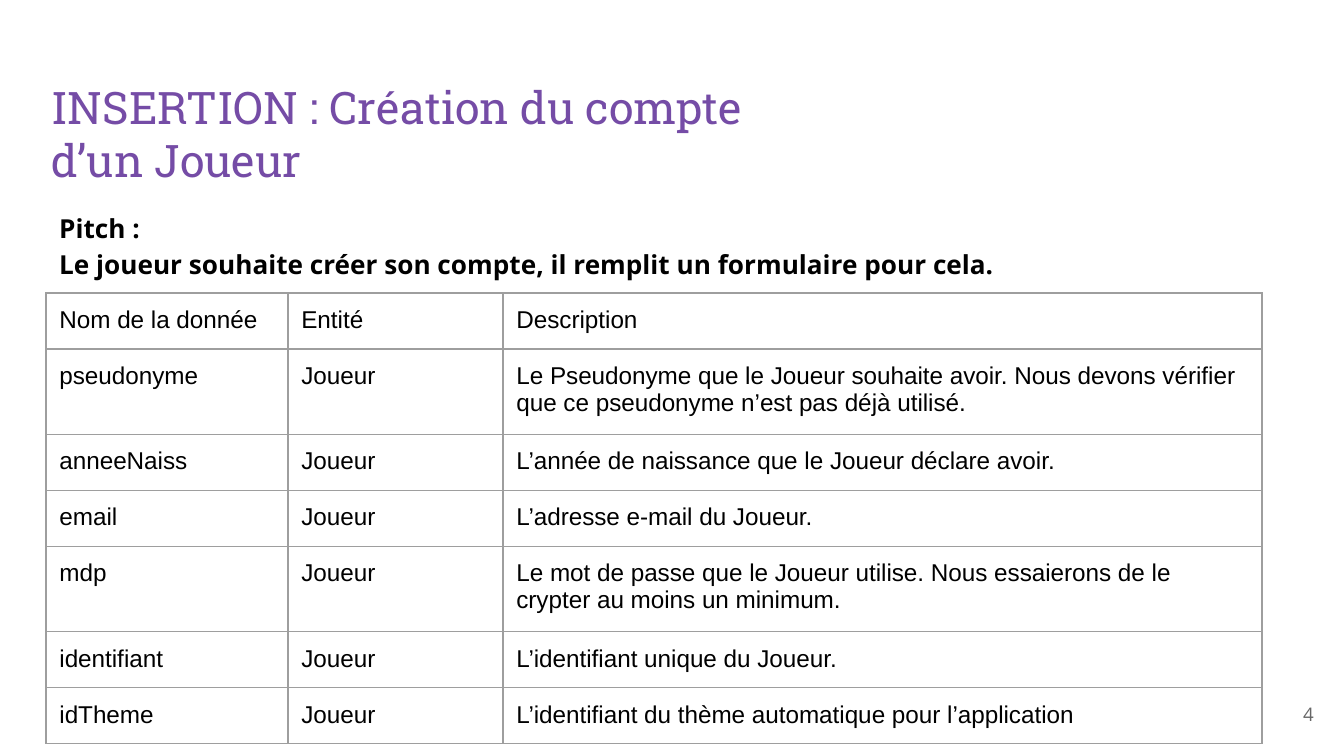
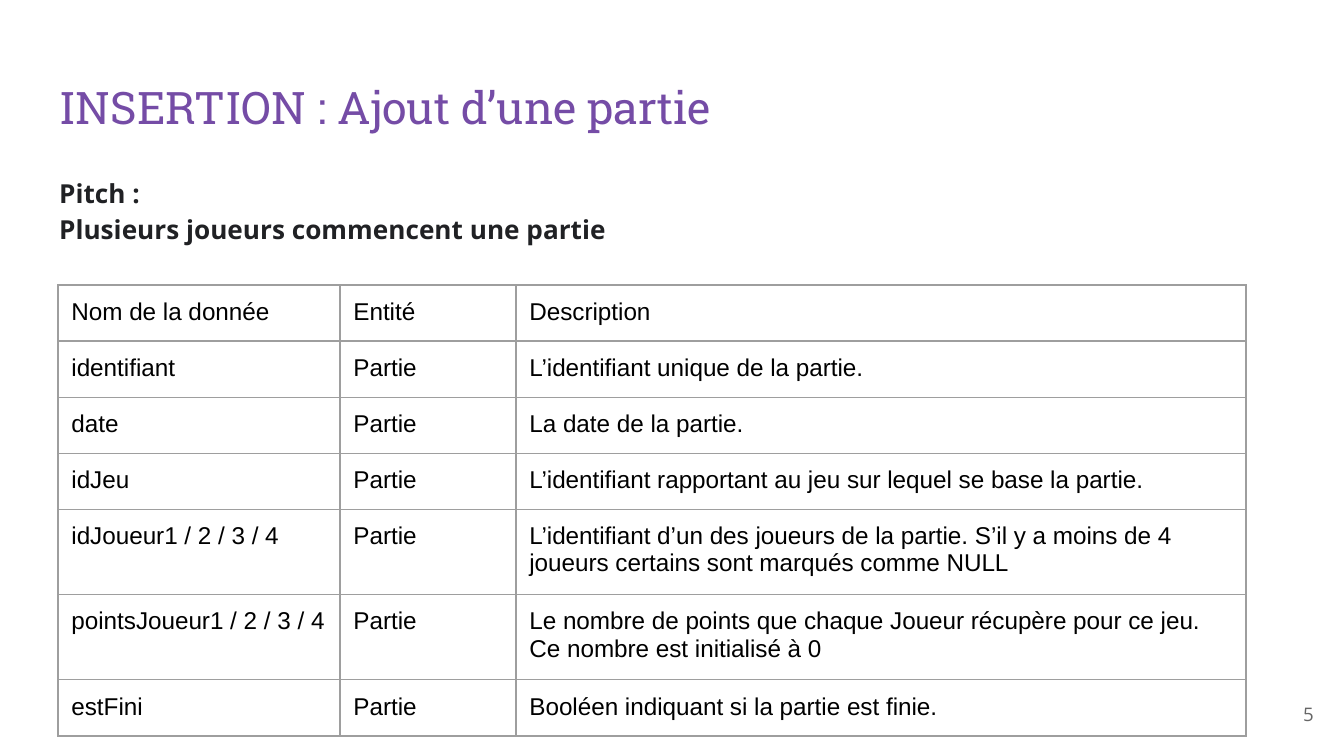
"""Two slides that describe the data inserted for a player account and a game."""
import lxml.etree
import pptx
import pptx.dml.color
import pptx.enum.text
import pptx.oxml.ns
import pptx.util

PIXEL = 914400 / 134.4
SLIDE_SIZE = (1344, 756)
INSET = 13.44
COLORS = {
    "background": "FFFFFF",
    "title": "754CA6",
    "black": "000000",
    "charcoal": "202124",
    "number": "666666",
    "border": "9E9E9E",
}
FONTS = {"title": "Roboto Slab", "body": "Open Sans", "table": "Arial"}
NUMBER_BOX = (1246, 685, 81, 58)
HEADINGS = ("Nom de la donnée", "Entité", "Description")
BORDER_POINTS = 0.75


def to_emu(pixels):
    """Turn pixels into EMU."""
    return pptx.util.Emu(round(pixels * PIXEL))


def rgb(name):
    """Look up a named colour."""
    return pptx.dml.color.RGBColor.from_string(COLORS[name])


def write_text(frame, text, *, font, size, color, bold=False, align=None, spacing=None):
    """Write each line of the text as one formatted paragraph."""
    frame.text = text
    frame.word_wrap = True
    for paragraph in frame.paragraphs:
        if align is not None:
            paragraph.alignment = align
        if spacing is not None:
            paragraph.line_spacing = spacing
        for run in paragraph.runs:
            run.font.name = FONTS[font]
            run.font.size = pptx.util.Pt(size)
            run.font.bold = bold
            run.font.color.rgb = rgb(color)


def set_margins(target):
    """Give a text frame or a table cell the common inset on all sides."""
    for side in ("left", "top", "right", "bottom"):
        setattr(target, "margin_" + side, to_emu(INSET))


def add_text(slide, box, text, *, anchor=pptx.enum.text.MSO_ANCHOR.TOP, **text_format):
    """Add a text box that fills the given box."""
    frame = slide.shapes.add_textbox(*map(to_emu, box)).text_frame
    set_margins(frame)
    frame.vertical_anchor = anchor
    write_text(frame, text, **text_format)


def add_borders(cell):
    """Draw a thin line on the four sides of a cell."""
    properties = cell._tc.get_or_add_tcPr()
    for tag in ("a:lnL", "a:lnR", "a:lnT", "a:lnB"):
        line = lxml.etree.SubElement(properties, pptx.oxml.ns.qn(tag))
        line.set("w", str(pptx.util.Pt(BORDER_POINTS)))
        fill = lxml.etree.SubElement(line, pptx.oxml.ns.qn("a:solidFill"))
        color = lxml.etree.SubElement(fill, pptx.oxml.ns.qn("a:srgbClr"))
        color.set("val", COLORS["border"])


def add_data_table(slide, left, top, widths, heights, entity, descriptions):
    """Add the table that lists each data item of one entity."""
    rows = [HEADINGS] + [(name, entity, description) for name, description in descriptions]
    box = (left, top, sum(widths), sum(heights))
    table = slide.shapes.add_table(len(rows), len(widths), *map(to_emu, box)).table
    table.first_row = False
    table.horz_banding = False
    for column, width in zip(table.columns, widths):
        column.width = to_emu(width)
    for row, height, texts in zip(table.rows, heights, rows):
        row.height = to_emu(height)
        for cell, text in zip(row.cells, texts):
            set_margins(cell)
            add_borders(cell)
            cell.fill.background()
            write_text(cell.text_frame, text, font="table", size=13, color="black")


def add_insertion_slide(presentation, number, title, title_box, pitch, pitch_box, pitch_color, table):
    """Add a slide with a title, a pitch, a data table and its number."""
    slide = presentation.slides.add_slide(presentation.slide_layouts[6])
    slide.background.fill.solid()
    slide.background.fill.fore_color.rgb = rgb("background")
    add_text(slide, title_box, "INSERTION : " + title, font="title", size=24, color="title")
    add_text(slide, pitch_box, "Pitch :\n" + pitch, font="body", size=14,
             color=pitch_color, bold=True, spacing=1.15)
    add_text(slide, NUMBER_BOX, str(number), font="body", size=10, color="number",
             align=pptx.enum.text.PP_ALIGN.RIGHT, anchor=pptx.enum.text.MSO_ANCHOR.MIDDLE)
    add_data_table(slide, **table)


def main():
    """Build and save the presentation."""
    presentation = pptx.Presentation()
    presentation.slide_width, presentation.slide_height = map(to_emu, SLIDE_SIZE)
    add_insertion_slide(
        presentation, 4,
        title="Création du compte\nd’un Joueur",
        title_box=(38, 66, 1269, 85),
        pitch="Le joueur souhaite créer son compte, il remplit un formulaire pour cela.",
        pitch_box=(46, 194, 1253, 85),
        pitch_color="black",
        table={
            "left": 46, "top": 293,
            "widths": (242, 215, 759),
            "heights": (54, 81, 54, 54, 81, 54, 54),
            "entity": "Joueur",
            "descriptions": (
                ("pseudonyme", "Le Pseudonyme que le Joueur souhaite avoir. Nous devons "
                               "vérifier que ce pseudonyme n’est pas déjà utilisé."),
                ("anneeNaiss", "L’année de naissance que le Joueur déclare avoir."),
                ("email", "L’adresse e-mail du Joueur."),
                ("mdp", "Le mot de passe que le Joueur utilise. Nous essaierons de le "
                        "crypter au moins un minimum."),
                ("identifiant", "L’identifiant unique du Joueur."),
                ("idTheme", "L’identifiant du thème automatique pour l’application"),
            ),
        },
    )
    add_insertion_slide(
        presentation, 5,
        title="Ajout d’une partie",
        title_box=(46, 66, 1253, 85),
        pitch="Plusieurs joueurs commencent une partie",
        pitch_box=(46, 159, 1253, 116),
        pitch_color="charcoal",
        table={
            "left": 58, "top": 285,
            "widths": (282, 176, 730),
            "heights": (56,) * 7,
            "entity": "Partie",
            "descriptions": (
                ("identifiant", "L’identifiant unique de la partie."),
                ("date", "La date de la partie."),
                ("idJeu", "L’identifiant rapportant au jeu sur lequel se base la partie."),
                ("idJoueur1 / 2 / 3 / 4", "L’identifiant d’un des joueurs de la partie. S’il y a "
                                          "moins de 4 joueurs certains sont marqués comme NULL"),
                ("pointsJoueur1 / 2 / 3 / 4", "Le nombre de points que chaque Joueur récupère "
                                              "pour ce jeu. Ce nombre est initialisé à 0"),
                ("estFini", "Booléen indiquant si la partie est finie."),
            ),
        },
    )
    presentation.save("out.pptx")


main()
